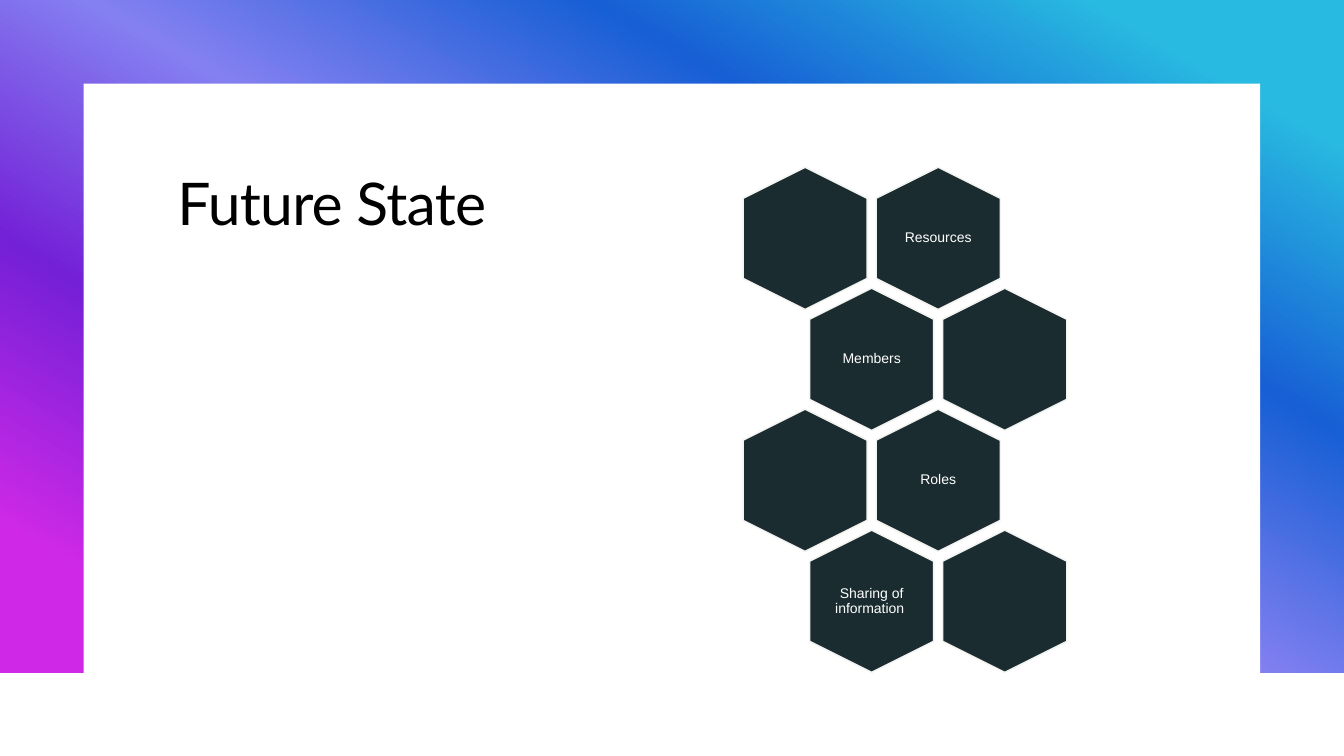
from lxml import etree
from pptx import Presentation
from pptx.dml.color import RGBColor
from pptx.enum.shapes import MSO_SHAPE
from pptx.enum.text import MSO_ANCHOR, MSO_AUTO_SIZE, PP_ALIGN
from pptx.oxml.ns import qn
from pptx.util import Inches, Pt

GRADIENT = [(10, "28BAE0"), (30, "175FD5"), (50, "8480F1"), (70, "7420D7"), (90, "CF29E7")]
DARK, OUTLINE, WHITE, BLACK = "1B2C30", "F1F3F0", "FFFFFF", "000000"

ROWS = [["", "Resources"], ["Members", ""], ["", "Roles"], ["Sharing of information ", ""]]
HEX_LEFT, HEX_TOP = 7.28, 1.75
HEX_W, HEX_H = 1.41, 1.23
COL_STEP, ROW_STEP = 1.32, 1.2
LABEL_W, LABEL_H = 0.85, 0.97


def rgb(color):
    return RGBColor.from_string(color)


def add_shape(shapes, kind, x, y, w, h, fill, line=None):
    sp = shapes.add_shape(kind, Inches(x), Inches(y), Inches(w), Inches(h))
    sp.shadow.inherit = False
    sp.fill.solid()
    sp.fill.fore_color.rgb = rgb(fill)
    if line:
        sp.line.color.rgb = rgb(line)
        sp.line.width = Pt(1)
    else:
        sp.line.fill.background()
    return sp


def set_gradient(sp, stops, angle):
    """Fill with stops given in percent, at a clockwise angle in degrees."""
    sp.fill.gradient()
    sp.fill.gradient_angle = 360 - angle
    gs_list = sp._element.spPr.find(qn("a:gradFill")).find(qn("a:gsLst"))
    for gs in list(gs_list):
        gs_list.remove(gs)
    for position, color in stops:
        gs = etree.SubElement(gs_list, qn("a:gs"), pos=str(position * 1000))
        etree.SubElement(gs, qn("a:srgbClr"), val=color)


def add_run(p, text, font, size, color):
    r = p.add_run()
    r.text = text
    r.font.name = font
    r.font.size = Pt(size)
    r.font.color.rgb = rgb(color)
    return r


def set_title(s, text):
    title = s.shapes.title
    title.left, title.top = Inches(1.66), Inches(1.66)
    title.width, title.height = Inches(4.19), Inches(5.01)
    s.shapes._spTree.append(title._element)  # bring in front of the panel
    tf = title.text_frame
    tf.word_wrap = True
    tf.auto_size = MSO_AUTO_SIZE.NONE
    tf.vertical_anchor = MSO_ANCHOR.TOP
    p = tf.paragraphs[0]
    p.alignment = PP_ALIGN.LEFT
    p.line_spacing = 0.95
    r = add_run(p, text, "Lato", 42, BLACK)
    r.font._element.set("spc", "-50")


def add_label(shapes, x, y, text):
    box = shapes.add_textbox(Inches(x), Inches(y), Inches(LABEL_W), Inches(LABEL_H))
    tf = box.text_frame
    tf.word_wrap = True
    tf.vertical_anchor = MSO_ANCHOR.MIDDLE
    tf.margin_left = tf.margin_right = tf.margin_top = tf.margin_bottom = Inches(0.04)
    p = tf.paragraphs[0]
    p.alignment = PP_ALIGN.CENTER
    p.line_spacing = 0.9
    add_run(p, text, "Arial", 10, WHITE)


def add_hexagon(shapes, x, y, text):
    sp = add_shape(shapes, MSO_SHAPE.HEXAGON, x, y, HEX_W, HEX_H, DARK, OUTLINE)
    sp.rotation = 90
    sp.adjustments[0] = 0.25
    if text:
        add_label(shapes, x + (HEX_W - LABEL_W) / 2, y + (HEX_H - LABEL_H) / 2, text)


def add_honeycomb(s):
    shapes = s.shapes.add_group_shape().shapes
    for row, labels in enumerate(ROWS):
        left = HEX_LEFT + row % 2 * COL_STEP / 2
        for col, text in enumerate(labels):
            add_hexagon(shapes, left + col * COL_STEP, HEX_TOP + row * ROW_STEP, text)


def main():
    prs = Presentation()
    prs.slide_width, prs.slide_height = Inches(13.33), Inches(7.5)
    s = prs.slides.add_slide(prs.slide_layouts[5])
    backdrop = add_shape(s.shapes, MSO_SHAPE.RECTANGLE, 0, 0, 13.33, 6.67, WHITE)
    set_gradient(backdrop, GRADIENT, 120)
    add_shape(s.shapes, MSO_SHAPE.RECTANGLE, 0.83, 0.83, 11.67, 5.97, WHITE)
    set_title(s, "Future State")
    add_honeycomb(s)
    prs.save("out.pptx")


if __name__ == "__main__":
    main()
